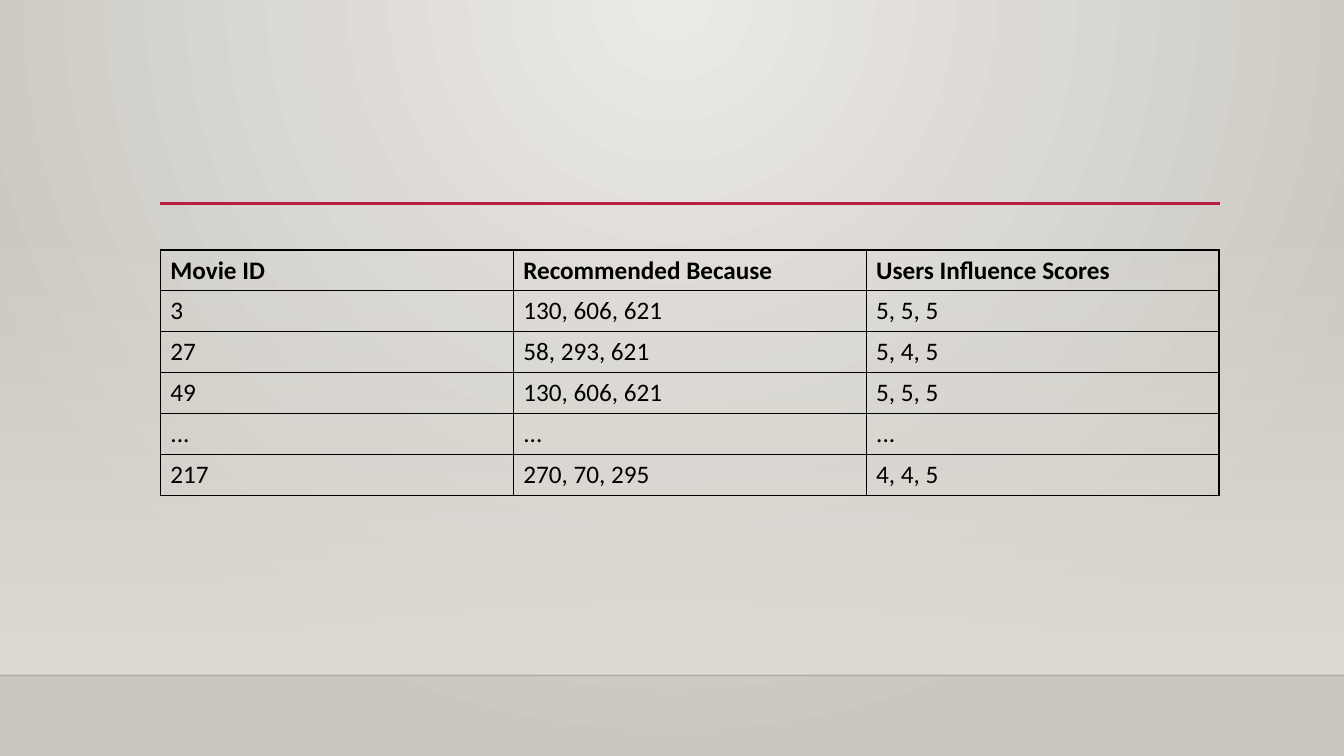
from dataclasses import dataclass

from lxml import etree
from pptx import Presentation
from pptx.dml.color import RGBColor
from pptx.enum.shapes import MSO_CONNECTOR, MSO_SHAPE
from pptx.enum.text import MSO_ANCHOR
from pptx.oxml.ns import qn
from pptx.util import Inches, Pt


@dataclass(frozen=True)
class Theme:
    font: str = "Calibri"
    text_size: int = 18
    ink: str = "000000"
    accent: str = "B71E42"
    floor_edge: str = "000001"
    wall: str = "DFDBD5"
    glow_center: str = "ECEAE7"
    glow_edge: str = "CAC7C1"


theme = Theme()
COLUMN_WIDTH, ROW_HEIGHT = 3.5, 0.4
SLIDE_WIDTH, FLOOR_TOP = 13.33, 6.7
ROWS = [
    ("Movie ID", "Recommended Because", "Users Influence Scores"),
    ("3", "130, 606, 621", "5, 5, 5"),
    ("27", "58, 293, 621", "5, 4, 5"),
    ("49", "130, 606, 621", "5, 5, 5"),
    ("...", "...", "..."),
    ("217", "270, 70, 295", "4, 4, 5"),
]


def set_gradient(fill, *colors):
    fill.gradient()
    for stop, color in zip(fill.gradient_stops, colors):
        stop.color.rgb = RGBColor.from_string(color)


def add_rule(page, left, right, top, color, width):
    """Draw a horizontal line without a shadow."""
    rule = page.shapes.add_connector(
        MSO_CONNECTOR.STRAIGHT, Inches(left), Inches(top), Inches(right), Inches(top))
    rule.line.color.rgb = RGBColor.from_string(color)
    rule.line.width = Pt(width)
    etree.SubElement(rule.element.spPr, qn("a:effectLst"))
    return rule


deck = Presentation()
deck.slide_width, deck.slide_height = Inches(SLIDE_WIDTH), Inches(7.5)
page = deck.slides.add_slide(deck.slide_layouts[6])

# Background glow from the top centre
set_gradient(page.background.fill, theme.glow_center, theme.glow_edge)
linear = page.element.xpath(".//p:bg//a:lin")[0]
glow = etree.Element(qn("a:path"), path="circle")
etree.SubElement(glow, qn("a:fillToRect"), l="43000", t="0", r="43000", b="100000")
linear.getparent().replace(linear, glow)

# Wall fading in towards the floor
wall = page.shapes.add_shape(
    MSO_SHAPE.RECTANGLE, 0, Inches(2.21), Inches(SLIDE_WIDTH), Inches(FLOOR_TOP - 2.21))
wall.shadow.inherit = False
wall.line.fill.background()
set_gradient(wall.fill, theme.wall, theme.wall)
wall.fill.gradient_angle = 270
etree.SubElement(wall.element.xpath(".//a:gs/a:srgbClr")[0], qn("a:alpha"), val="0")

floor_edge = add_rule(page, 0, SLIDE_WIDTH, FLOOR_TOP, theme.floor_edge, 1)
etree.SubElement(floor_edge.element.xpath(".//a:ln//a:srgbClr")[0], qn("a:alpha"), val="20000")
add_rule(page, 1.59, 12.1, 2.02, theme.accent, 2.5)

# Recommendations table
table = page.shapes.add_table(
    len(ROWS), len(ROWS[0]), Inches(1.59), Inches(2.48),
    Inches(COLUMN_WIDTH * len(ROWS[0])), Inches(ROW_HEIGHT * len(ROWS))).table
table.first_row = table.horz_banding = False
for row_index, values in enumerate(ROWS):
    for column_index, value in enumerate(values):
        cell = table.cell(row_index, column_index)
        cell.vertical_anchor = MSO_ANCHOR.MIDDLE
        span = cell.text_frame.paragraphs[0].add_run()
        span.text = value
        span.font.name, span.font.size = theme.font, Pt(theme.text_size)
        span.font.bold = row_index == 0
        span.font.color.rgb = RGBColor.from_string(theme.ink)
        properties = cell._tc.get_or_add_tcPr()
        for side in ("L", "R", "T", "B"):
            border = etree.SubElement(properties, qn(f"a:ln{side}"), w=str(Pt(1)))
            solid = etree.SubElement(border, qn("a:solidFill"))
            etree.SubElement(solid, qn("a:srgbClr"), val=theme.ink)
        cell.fill.background()

deck.save("out.pptx")
